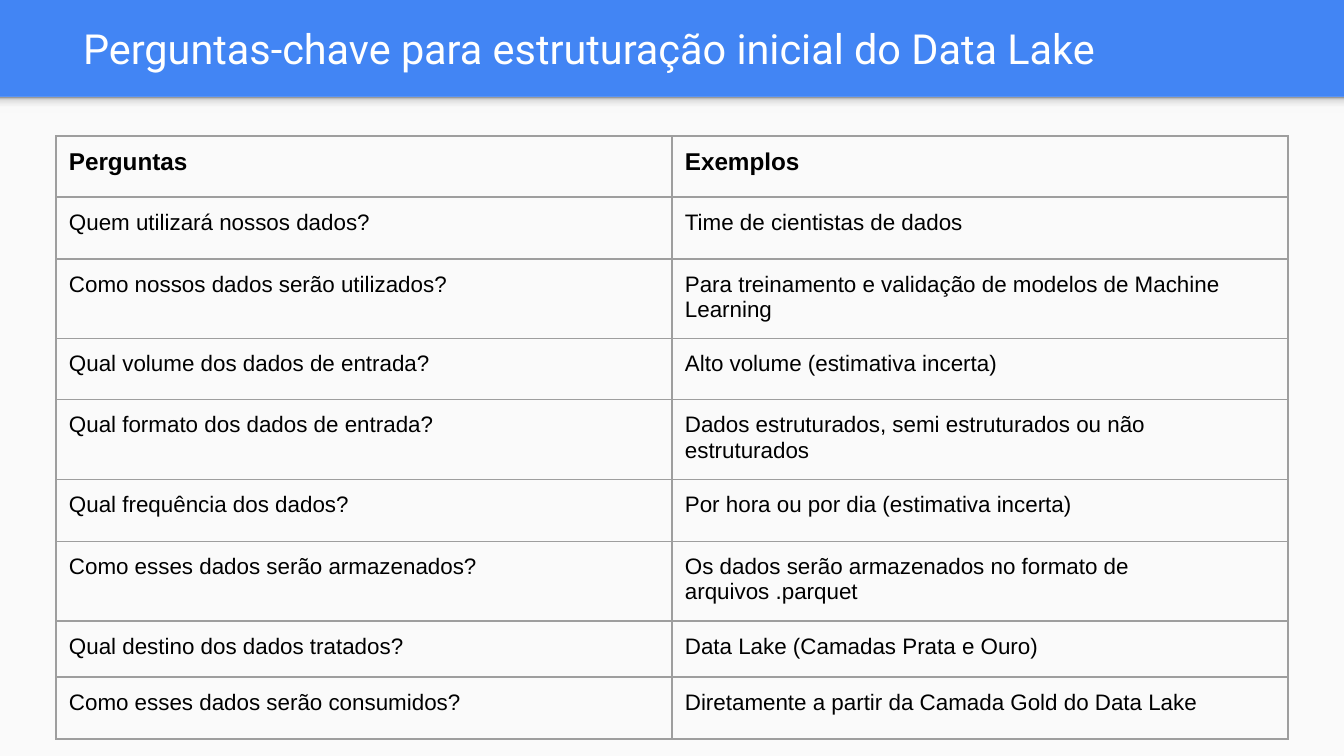
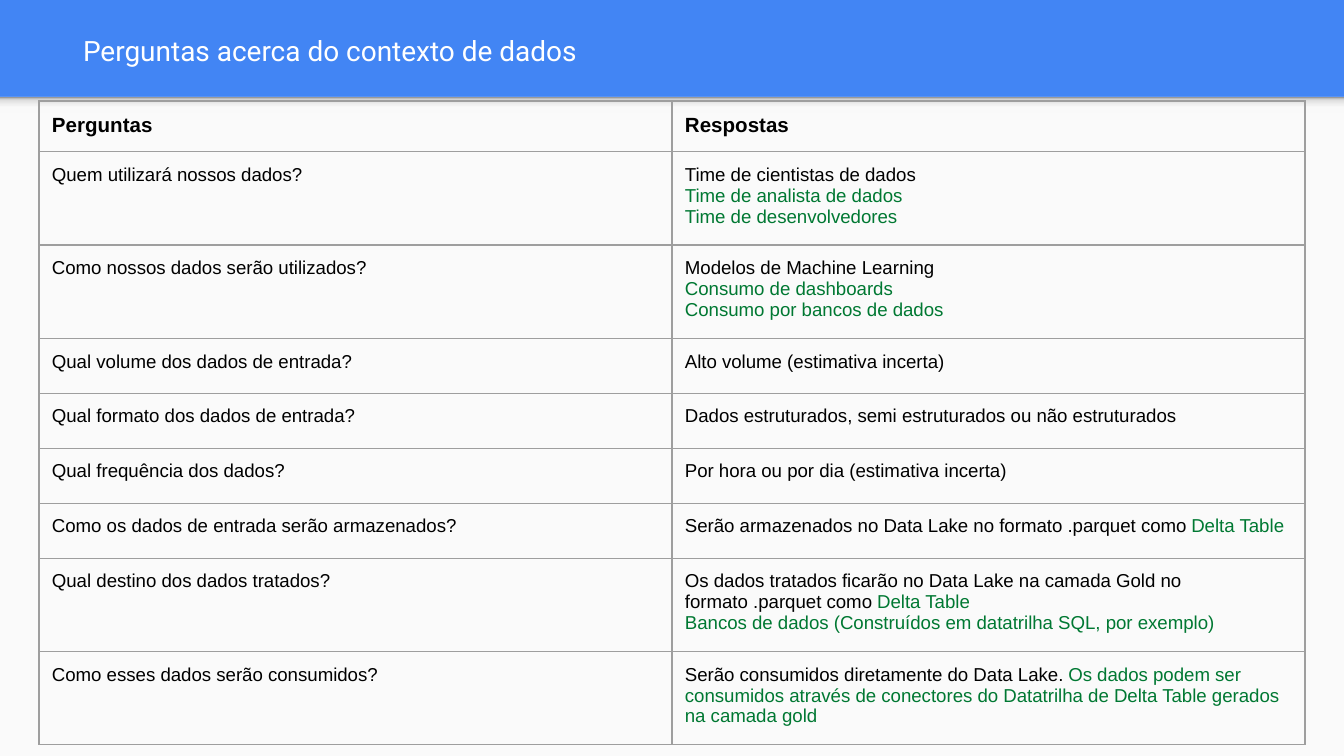
from lxml.etree import SubElement
from pptx import Presentation
from pptx.dml.color import RGBColor
from pptx.enum.shapes import MSO_SHAPE
from pptx.enum.text import MSO_ANCHOR
from pptx.oxml.ns import qn
from pptx.util import Emu, Pt

# Shared look
BLUE = RGBColor(0x42, 0x85, 0xF4)
PAPER = RGBColor(0xFA, 0xFA, 0xFA)
WHITE = RGBColor(0xFF, 0xFF, 0xFF)
BLACK = RGBColor(0x00, 0x00, 0x00)
GREEN = RGBColor(0x00, 0x78, 0x32)
GREY = RGBColor(0x9E, 0x9E, 0x9E)
SHADE_STOPS = [(0, "F9F9F9"), (36, "F9F9F9"), (80, "DEDEDE"), (100, "999999")]
TITLE_FONT, TABLE_FONT = "Roboto", "Arial"
WIDTH, HEIGHT, BAND, INSET = 1344, 756, 97, 13

# A line is a string, or a (black, green) pair
KEY_QUESTIONS = [
    ("Perguntas", "Exemplos"),
    ("Quem utilizará nossos dados?", "Time de cientistas de dados"),
    ("Como nossos dados serão utilizados?",
     "Para treinamento e validação de modelos de Machine Learning"),
    ("Qual volume dos dados de entrada?", "Alto volume (estimativa incerta)"),
    ("Qual formato dos dados de entrada?",
     "Dados estruturados, semi estruturados ou não estruturados"),
    ("Qual frequência dos dados?", "Por hora ou por dia (estimativa incerta)"),
    ("Como esses dados serão armazenados?",
     "Os dados serão armazenados no formato de arquivos .parquet"),
    ("Qual destino dos dados tratados?", "Data Lake (Camadas Prata e Ouro)"),
    ("Como esses dados serão consumidos?",
     "Diretamente a partir da Camada Gold do Data Lake"),
]
CONTEXT_ANSWERS = [
    ("Perguntas", "Respostas"),
    ("Quem utilizará nossos dados?",
     ["Time de cientistas de dados",
      ("", "Time de analista de dados"),
      ("", "Time de desenvolvedores")]),
    ("Como nossos dados serão utilizados?",
     ["Modelos de Machine Learning",
      ("", "Consumo de dashboards"),
      ("", "Consumo por bancos de dados")]),
    ("Qual volume dos dados de entrada?", "Alto volume (estimativa incerta)"),
    ("Qual formato dos dados de entrada?",
     "Dados estruturados, semi estruturados ou não estruturados"),
    ("Qual frequência dos dados?", "Por hora ou por dia (estimativa incerta)"),
    ("Como os dados de entrada serão armazenados?",
     [("Serão armazenados no Data Lake no formato .parquet como ", "Delta Table")]),
    ("Qual destino dos dados tratados?",
     [("Os dados tratados ficarão no Data Lake na camada Gold no formato "
       ".parquet como ", "Delta Table"),
      ("", "Bancos de dados (Construídos em datatrilha SQL, por exemplo)")]),
    ("Como esses dados serão consumidos?",
     [("Serão consumidos diretamente do Data Lake. ",
       "Os dados podem ser consumidos através de conectores do Datatrilha "
       "de Delta Table gerados na camada gold")]),
]


def px(length):
    return Emu(round(length * 9144000 / WIDTH))


def write_text(frame, text, *, font, size, color=BLACK, accent=GREEN, bold=False):
    """Write one string or a list of lines."""
    lines = [text] if isinstance(text, str) else text
    for index, line in enumerate(lines):
        para = frame.add_paragraph() if index else frame.paragraphs[0]
        plain, marked = (line, "") if isinstance(line, str) else line
        for words, ink in ((plain, color), (marked, accent)):
            if words:
                span = para.add_run()
                span.text = words
                span.font.name = font
                span.font.size = Pt(size)
                span.font.bold = bold
                span.font.color.rgb = ink


def set_insets(holder):
    holder.margin_left = holder.margin_right = px(INSET)
    holder.margin_top = holder.margin_bottom = px(INSET)


def add_panel(page, top, height):
    panel = page.shapes.add_shape(MSO_SHAPE.RECTANGLE, 0, px(top), px(WIDTH), px(height))
    panel.shadow.inherit = False
    panel.line.fill.background()
    panel.fill.solid()
    panel.fill.fore_color.rgb = PAPER
    return panel


def shade(panel):
    """Darken the panel towards its top edge."""
    panel.fill.gradient()
    panel.fill.gradient_angle = 90
    stops = panel._element.spPr.find(".//" + qn("a:gsLst"))
    stops.clear()
    for position, color in SHADE_STOPS:
        stop = SubElement(stops, qn("a:gs"), pos=str(position * 1000))
        SubElement(stop, qn("a:srgbClr"), val=color)


def add_title(page, text, top, height, size):
    box = page.shapes.add_textbox(px(70), px(top), px(1240), px(height))
    frame = box.text_frame
    frame.word_wrap = True
    frame.vertical_anchor = MSO_ANCHOR.MIDDLE
    set_insets(frame)
    write_text(frame, text, font=TITLE_FONT, size=size, color=WHITE)


def add_borders(cell):
    properties = cell._tc.get_or_add_tcPr()
    for side in ("lnL", "lnR", "lnT", "lnB"):
        line = SubElement(properties, qn("a:" + side), w=str(Pt(0.75)))
        fill = SubElement(line, qn("a:solidFill"))
        SubElement(fill, qn("a:srgbClr"), val=str(GREY))


def add_question_table(page, rows, left, top, column, heights, head_size, size):
    table = page.shapes.add_table(len(rows), 2, px(left), px(top),
                                  px(2 * column), px(sum(heights))).table
    table.first_row = table.horz_banding = False
    for table_column in table.columns:
        table_column.width = px(column)
    for index, (row, height) in enumerate(zip(rows, heights)):
        table.rows[index].height = px(height)
        for cell, text in zip(table.rows[index].cells, row):
            set_insets(cell)
            add_borders(cell)
            cell.fill.background()
            write_text(cell.text_frame, text, font=TABLE_FONT,
                       size=size if index else head_size, bold=index == 0)


def add_page(deck):
    """Add a page with the blue band, the paper and the band's shadow."""
    page = deck.slides.add_slide(deck.slide_layouts[6])
    page.background.fill.solid()
    page.background.fill.fore_color.rgb = BLUE
    add_panel(page, BAND, HEIGHT - BAND)
    shade(add_panel(page, BAND, 16))
    return page


def main():
    deck = Presentation()
    deck.slide_width, deck.slide_height = px(WIDTH), px(HEIGHT)

    # Key questions
    page = add_page(deck)
    add_title(page, "Perguntas-chave para estruturação inicial do Data Lake", 3, 89, 22.2)
    add_question_table(page, KEY_QUESTIONS, 56, 136, 616,
                       [61, 62, 62, 61, 62, 62, 62, 56, 62], 13, 12)

    # Data context
    page = add_page(deck)
    add_title(page, "Perguntas acerca do contexto de dados", 15, 70, 15)
    add_question_table(page, CONTEXT_ANSWERS, 39, 101, 633,
                       [50, 91, 92, 55, 55, 55, 55, 91, 92], 11, 10)

    deck.save("out.pptx")


if __name__ == "__main__":
    main()
